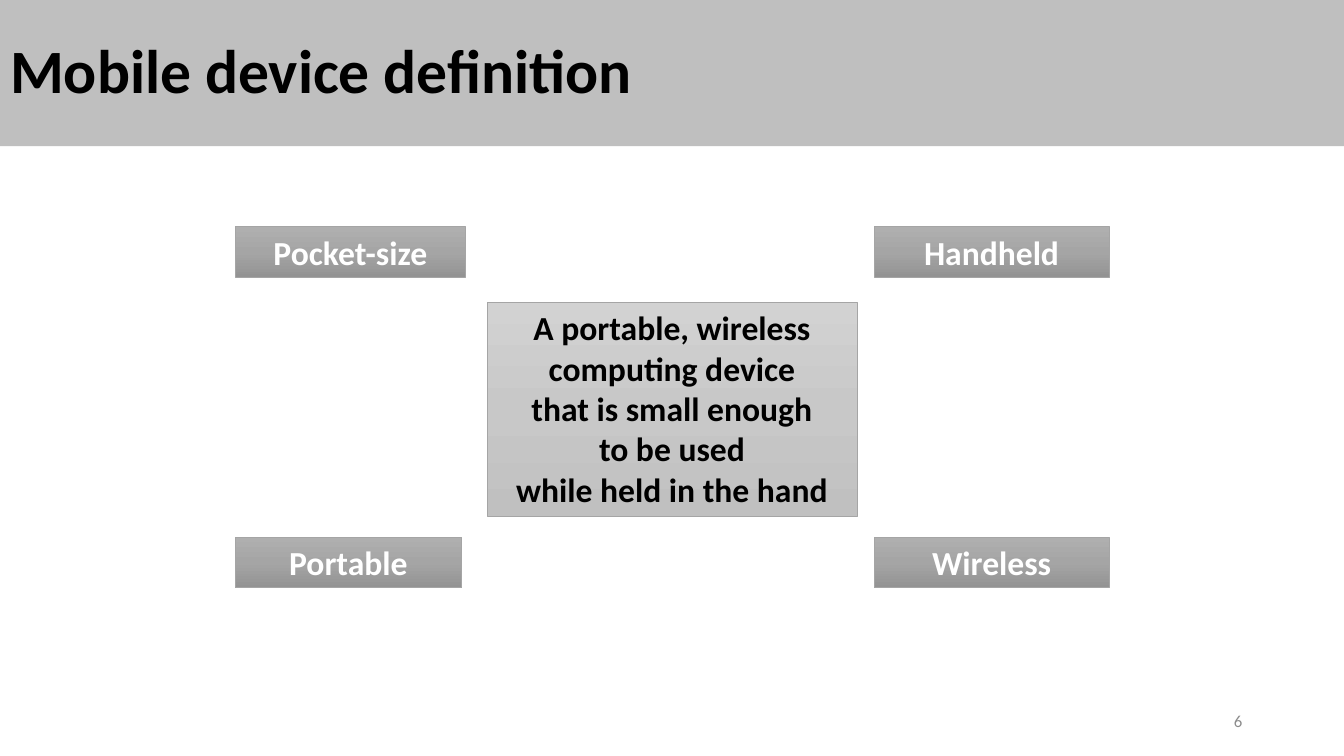
"""Build the slide that defines a mobile device through four traits."""
from copy import deepcopy
from typing import NamedTuple

from pptx import Presentation
from pptx.dml.color import RGBColor
from pptx.enum.shapes import MSO_SHAPE
from pptx.enum.text import MSO_ANCHOR, MSO_AUTO_SIZE, PP_ALIGN
from pptx.oxml.ns import qn
from pptx.util import Inches, Pt

BLACK = RGBColor(0x00, 0x00, 0x00)
WHITE = RGBColor(0xFF, 0xFF, 0xFF)
BAND_GRAY = RGBColor(0xBF, 0xBF, 0xBF)
BORDER_GRAY = RGBColor(0xA5, 0xA5, 0xA5)
NUMBER_GRAY = RGBColor(0x8C, 0x8C, 0x8C)
LIGHT_GRADIENT = (RGBColor(0xD2, 0xD2, 0xD2), RGBColor(0xC8, 0xC8, 0xC8), RGBColor(0xC0, 0xC0, 0xC0))
DARK_GRADIENT = (RGBColor(0xAF, 0xAF, 0xAF), RGBColor(0xA5, 0xA5, 0xA5), RGBColor(0x93, 0x93, 0x93))

LEFT_COLUMN, RIGHT_COLUMN = 2.33, 8.67
TOP_ROW, BOTTOM_ROW = 2.25, 5.33
TRAIT_HEIGHT = 0.5
DEFINITION = (
    "A portable, wireless\ncomputing device\nthat is small enough\n"
    "to be used\nwhile held in the hand"
)


class Box(NamedTuple):
    """A gradient box with its text, place in inches and colours."""

    text: str
    left: float
    top: float
    width: float
    height: float = TRAIT_HEIGHT
    gradient: tuple[RGBColor, ...] = DARK_GRADIENT
    color: RGBColor = WHITE


BOXES = (
    Box(DEFINITION, 4.83, 3, 3.67, 2.12, LIGHT_GRADIENT, BLACK),
    Box("Portable", LEFT_COLUMN, BOTTOM_ROW, 2.25),
    Box("Wireless", RIGHT_COLUMN, BOTTOM_ROW, 2.33),
    Box("Handheld", RIGHT_COLUMN, TOP_ROW, 2.33),
    Box("Pocket-size", LEFT_COLUMN, TOP_ROW, 2.29),
)


def write_text(shape, text: str, *, size: float, color: RGBColor, bold: bool = False,
               align=PP_ALIGN.LEFT, anchor=MSO_ANCHOR.MIDDLE,
               auto_size=MSO_AUTO_SIZE.NONE, line_spacing: float = 1.0) -> None:
    """Put formatted text into a shape."""
    frame = shape.text_frame
    frame.word_wrap = True
    frame.auto_size = auto_size
    frame.vertical_anchor = anchor
    paragraph = frame.paragraphs[0]
    paragraph.text = text
    paragraph.alignment = align
    paragraph.line_spacing = line_spacing
    for run in paragraph.runs:
        run.font.name = "Calibri"
        run.font.size = Pt(size)
        run.font.bold = bold
        run.font.color.rgb = color


def fill_gradient(shape, colors: tuple[RGBColor, ...]) -> None:
    """Fill a shape from top to bottom with evenly spaced colours."""
    fill = shape.fill
    fill.gradient()
    fill.gradient_angle = 270
    stop_list = shape.element.spPr.find(qn("a:gradFill")).find(qn("a:gsLst"))
    stop_list.append(deepcopy(stop_list[-1]))
    for index, (stop, color) in enumerate(zip(fill.gradient_stops, colors)):
        stop.position = index / (len(colors) - 1)
        stop.color.rgb = color


def add_box(slide, box: Box) -> None:
    """Draw one gradient box."""
    shape = slide.shapes.add_shape(
        MSO_SHAPE.RECTANGLE, Inches(box.left), Inches(box.top), Inches(box.width), Inches(box.height))
    shape.shadow.inherit = False
    fill_gradient(shape, box.gradient)
    shape.line.color.rgb = BORDER_GRAY
    shape.line.width = Pt(0.5)
    write_text(shape, box.text, size=24, color=box.color, bold=True, align=PP_ALIGN.CENTER,
               anchor=MSO_ANCHOR.TOP, auto_size=MSO_AUTO_SIZE.SHAPE_TO_FIT_TEXT)


def add_title(slide, text: str, width: int) -> None:
    """Turn the title placeholder into a gray band across the top."""
    title = slide.shapes.title
    title.left, title.top = Inches(0), Inches(0)
    title.width, title.height = width, Inches(1.45)
    title.fill.solid()
    title.fill.fore_color.rgb = BAND_GRAY
    write_text(title, text, size=44, color=BLACK, bold=True, line_spacing=0.9)


def main() -> None:
    """Build and save the presentation."""
    presentation = Presentation()
    presentation.slide_width = Inches(13.33)
    presentation.slide_height = Inches(7.5)
    slide = presentation.slides.add_slide(presentation.slide_layouts.get_by_name("Title Only"))
    add_title(slide, "Mobile device definition", presentation.slide_width)
    number = slide.shapes.add_textbox(Inches(9.42), Inches(6.95), Inches(3), Inches(0.4))
    write_text(number, "6", size=12, color=NUMBER_GRAY, align=PP_ALIGN.RIGHT)
    for box in BOXES:
        add_box(slide, box)
    presentation.save("out.pptx")


if __name__ == "__main__":
    main()
